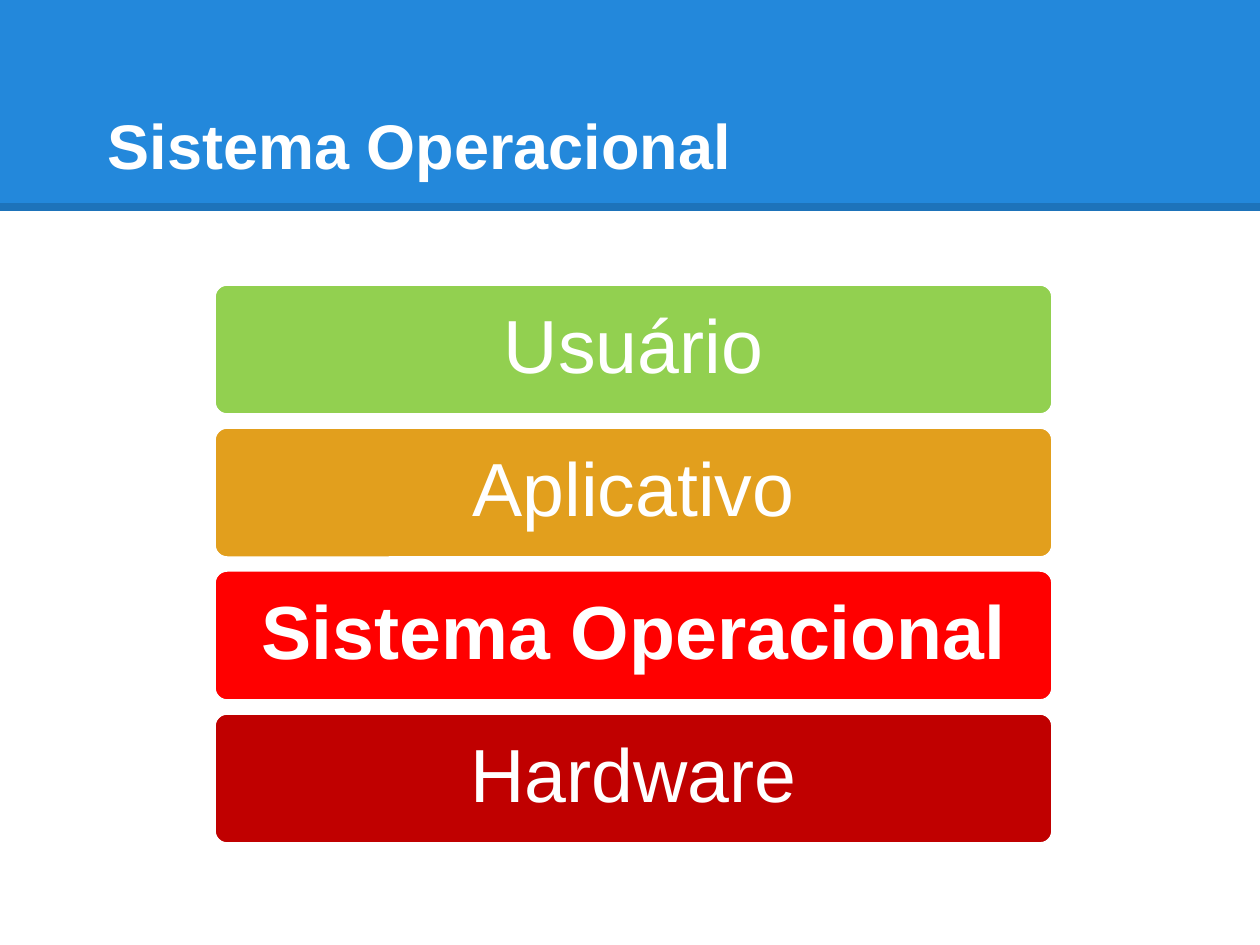
from lxml.etree import SubElement
from pptx import Presentation
from pptx.dml.color import RGBColor
from pptx.enum.shapes import MSO_CONNECTOR, MSO_SHAPE
from pptx.enum.text import MSO_ANCHOR, PP_ALIGN
from pptx.oxml.ns import qn
from pptx.util import Pt

WHITE = RGBColor(0xFF, 0xFF, 0xFF)
BLACK = RGBColor(0x00, 0x00, 0x00)
BLUE = RGBColor(0x23, 0x88, 0xDB)
GREEN = RGBColor(0x92, 0xD0, 0x50)
ORANGE = RGBColor(0xE2, 0x9F, 0x1D)
RED = RGBColor(0xFF, 0x00, 0x00)
DARK_RED = RGBColor(0xC0, 0x00, 0x00)

TITLE = "Sistema Operacional"
LAYERS = [
    ("Usuário", GREEN, False),
    ("Aplicativo", ORANGE, False),
    ("Sistema Operacional", RED, True),
    ("Hardware", DARK_RED, False),
]

SCALE = 914400 / 126
SLIDE_WIDTH, SLIDE_HEIGHT = 1260, 945
HEADER_HEIGHT, HEADER_RULE_TOP = 211, 207
LAYER_LEFT, LAYER_TOP, LAYER_WIDTH, LAYER_HEIGHT = 214, 284, 839, 131
LAYER_GAP = 12


def px(value):
    return round(value * SCALE)


def add_block(page, preset, left, top, width, height, color):
    block = page.shapes.add_shape(preset, px(left), px(top), px(width), px(height))
    block.shadow.inherit = False
    block.fill.solid()
    block.fill.fore_color.rgb = color
    block.line.fill.background()
    return block


def write_text(box, text, size, bold=False, align=PP_ALIGN.LEFT,
               anchor=MSO_ANCHOR.MIDDLE, inset=0, indent=0, line_spacing=1.0):
    frame = box.text_frame
    frame.word_wrap = True
    frame.vertical_anchor = anchor
    frame.margin_left = frame.margin_right = px(inset)
    frame.margin_top = frame.margin_bottom = px(inset)
    para = frame.paragraphs[0]
    para.alignment = align
    para.line_spacing = line_spacing
    para._p.get_or_add_pPr().set("indent", str(px(indent)))
    span = para.add_run()
    span.text = text
    span.font.name = "Arial"
    span.font.size = Pt(size)
    span.font.bold = bold
    span.font.color.rgb = WHITE


def add_header(page):
    add_block(page, MSO_SHAPE.RECTANGLE, 0, 0, SLIDE_WIDTH, HEADER_HEIGHT, BLUE)
    rule = page.shapes.add_connector(
        MSO_CONNECTOR.STRAIGHT, 0, px(HEADER_RULE_TOP), px(SLIDE_WIDTH), px(HEADER_RULE_TOP))
    rule.line.width = Pt(4.5)
    rule.line.color.rgb = BLACK
    properties = rule._element.spPr
    color = properties.find(".//" + qn("a:srgbClr"))
    SubElement(color, qn("a:alpha"), val="15000")
    SubElement(properties, qn("a:effectLst"))
    box = page.shapes.add_textbox(px(63), px(38), px(1134), px(157))
    write_text(box, TITLE, size=36, bold=True, anchor=MSO_ANCHOR.BOTTOM,
               inset=13, indent=32)


def add_layers(page):
    for index, (name, color, bold) in enumerate(LAYERS):
        top = LAYER_TOP + index * (LAYER_HEIGHT + LAYER_GAP)
        block = add_block(page, MSO_SHAPE.ROUNDED_RECTANGLE,
                          LAYER_LEFT, top, LAYER_WIDTH, LAYER_HEIGHT, color)
        block.adjustments[0] = 0.1
        block.line.color.rgb = WHITE
        block.line.width = Pt(2)
        write_text(block, name, size=43, bold=bold, align=PP_ALIGN.CENTER,
                   inset=23, line_spacing=0.9)


def main():
    deck = Presentation()
    deck.slide_width, deck.slide_height = px(SLIDE_WIDTH), px(SLIDE_HEIGHT)
    page = deck.slides.add_slide(deck.slide_layouts[6])
    add_header(page)
    add_layers(page)
    deck.save("out.pptx")


if __name__ == "__main__":
    main()
